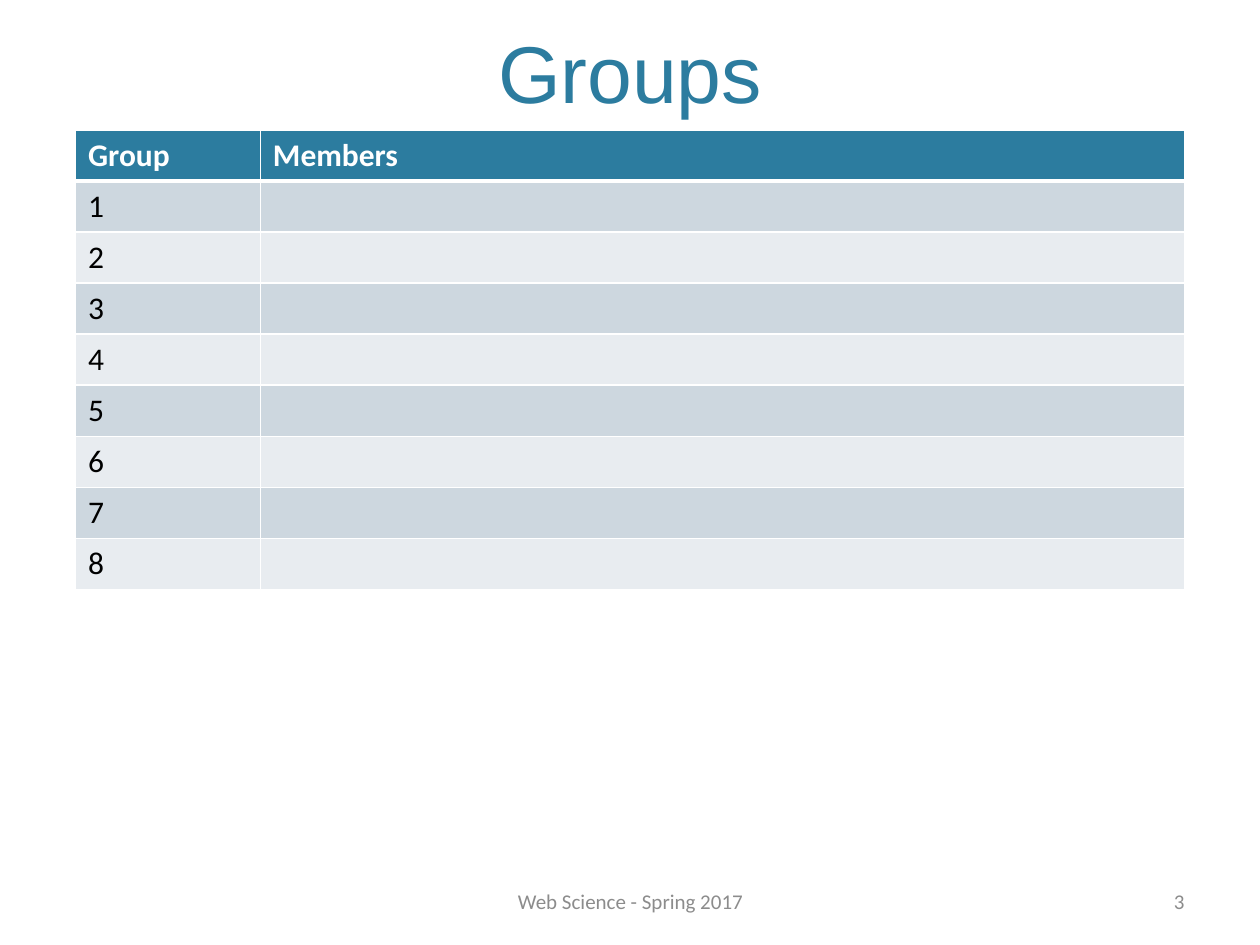
from dataclasses import dataclass

from lxml.etree import SubElement
from pptx import Presentation
from pptx.dml.color import RGBColor
from pptx.enum.text import MSO_ANCHOR, PP_ALIGN
from pptx.oxml.ns import qn
from pptx.util import Inches, Pt

TITLE = "Groups"
HEADER = ("Group", "Members")
ROWS = [(str(number), "") for number in range(1, 9)]
FOOTERS = [
    ("Web Science - Spring 2017", (3.42, 6.95, 3.17, 0.4), PP_ALIGN.CENTER),
    ("3", (7.17, 6.95, 2.33, 0.4), PP_ALIGN.RIGHT),
]

SLIDE_SIZE = (10, 7.5)
TITLE_BOX = (0.6, 0, 8.8, 1)
TABLE_BOX = (0.6, 1.03, 8.8, 3.65)
COLUMN_SHARES = (1 / 6, 5 / 6)


@dataclass(frozen=True)
class Theme:
    """Colours, fonts and type sizes of the slide."""
    accent: str = "2C7C9F"
    bands: tuple = ("CDD7DF", "E8ECF0")
    white: str = "FFFFFF"
    text: str = "000000"
    muted: str = "8C8C8C"
    title_font: str = "Arial"
    body_font: str = "Calibri"
    title_size: int = 46
    table_size: int = 18
    footer_size: int = 12
    thin_border: int = 1
    header_border: int = 3


THEME = Theme()


def inches(box):
    """Convert a sequence of inches to lengths."""
    return [Inches(value) for value in box]


def write(text_frame, text, font, size, color, bold=False, align=None):
    """Set one paragraph of text and format it."""
    text_frame.text = text
    paragraph = text_frame.paragraphs[0]
    paragraph.alignment = align
    for target in (paragraph, *paragraph.runs):
        target.font.name = font
        target.font.size = Pt(size)
        target.font.bold = bold
        target.font.color.rgb = RGBColor.from_string(color)


def add_borders(cell, top, bottom):
    """Draw white borders round a cell, with given top and bottom widths."""
    properties = cell._tc.get_or_add_tcPr()
    thin = THEME.thin_border
    for side, width in (("L", thin), ("R", thin), ("T", top), ("B", bottom)):
        line = SubElement(properties, qn(f"a:ln{side}"), w=str(Pt(width)))
        fill = SubElement(line, qn("a:solidFill"))
        SubElement(fill, qn("a:srgbClr"), val=THEME.white)


def add_title(slide):
    """Place and format the title placeholder."""
    title = slide.shapes.title
    title.left, title.top, title.width, title.height = inches(TITLE_BOX)
    write(title.text_frame, TITLE, THEME.title_font, THEME.title_size,
          THEME.accent, align=PP_ALIGN.CENTER)
    title.text_frame.vertical_anchor = MSO_ANCHOR.BOTTOM


def add_group_table(slide):
    """Build the banded table of groups and members."""
    rows = [HEADER, *ROWS]
    table = slide.shapes.add_table(
        len(rows), len(HEADER), *inches(TABLE_BOX)).table
    for column, share in zip(table.columns, COLUMN_SHARES):
        column.width = Inches(TABLE_BOX[2] * share)
    for row_index, values in enumerate(rows):
        table.rows[row_index].height = Inches(TABLE_BOX[3] / len(rows))
        is_header = row_index == 0
        fill = THEME.accent if is_header else THEME.bands[(row_index - 1) % 2]
        color = THEME.white if is_header else THEME.text
        top = THEME.header_border if row_index == 1 else THEME.thin_border
        bottom = THEME.header_border if is_header else THEME.thin_border
        for column_index, value in enumerate(values):
            cell = table.cell(row_index, column_index)
            write(cell.text_frame, value, THEME.body_font, THEME.table_size,
                  color, bold=is_header)
            add_borders(cell, top, bottom)
            cell.fill.solid()
            cell.fill.fore_color.rgb = RGBColor.from_string(fill)


def add_footer(slide, text, box, align):
    """Add one small grey text at the foot of the slide."""
    text_frame = slide.shapes.add_textbox(*inches(box)).text_frame
    text_frame.word_wrap = True
    text_frame.vertical_anchor = MSO_ANCHOR.MIDDLE
    write(text_frame, text, THEME.body_font, THEME.footer_size, THEME.muted,
          align=align)


def main():
    """Build and save the presentation."""
    presentation = Presentation()
    presentation.slide_width, presentation.slide_height = inches(SLIDE_SIZE)
    slide = presentation.slides.add_slide(presentation.slide_layouts[5])
    add_title(slide)
    add_group_table(slide)
    for text, box, align in FOOTERS:
        add_footer(slide, text, box, align)
    presentation.save("out.pptx")


main()
